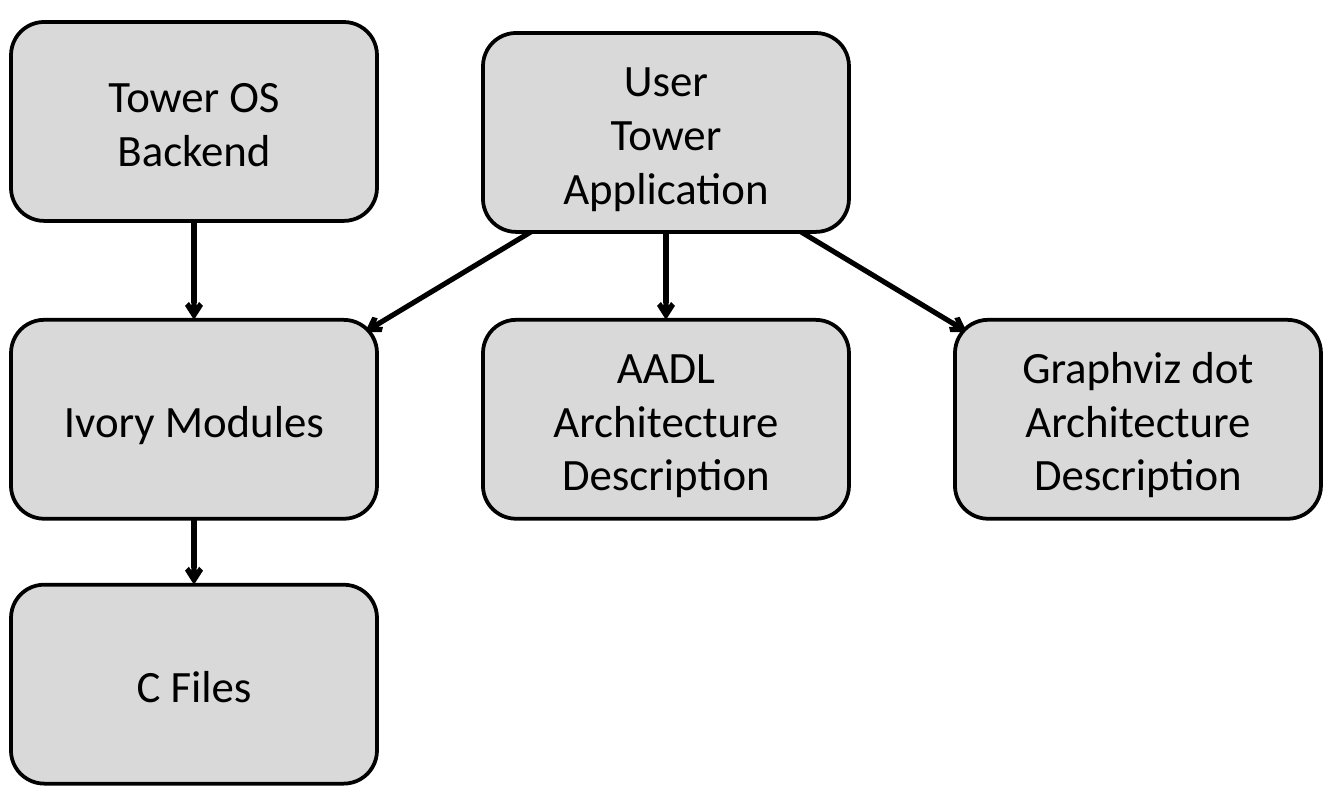
from lxml import etree
from pptx import Presentation
from pptx import util as u
from pptx.dml.color import RGBColor
from pptx.enum import shapes, text
from pptx.oxml import ns

BLACK = RGBColor(0x00, 0x00, 0x00)
GREY = RGBColor(0xD9, 0xD9, 0xD9)
SCALE = u.Inches(1) / 134.4

# Stage: (label, column, top)
STAGES = {
    "backend": ("Tower OS Backend", 0, 22),
    "application": ("User\nTower Application", 1, 33),
    "ivory": ("Ivory Modules", 0, 320),
    "aadl": ("AADL Architecture Description", 1, 320),
    "graphviz": ("Graphviz dot\nArchitecture Description", 2, 320),
    "c_files": ("C Files", 0, 585),
}
FLOWS = [
    ("backend", "ivory"),
    ("application", "ivory"),
    ("application", "aadl"),
    ("application", "graphviz"),
    ("ivory", "c_files"),
]
LEFT, PITCH, WIDTH, HEIGHT = 11, 472, 366, 199
EXIT_INSET, CORNER_INSET = 48, 12
FONT = {"name": "Calibri", "size": u.Pt(24)}


def emu(pixels):
    """Turn pixels into EMU."""
    return u.Emu(round(pixels * SCALE))


def corner(stage):
    """Give the left and top of a stage."""
    _, column, top = STAGES[stage]
    return LEFT + column * PITCH, top


def flow_ends(source, target):
    """Give the ends of an arrow: straight down, or out to a near corner."""
    source_left, source_top = corner(source)
    target_left, target_top = corner(target)
    bottom = source_top + HEIGHT
    if target_left == source_left:
        middle = source_left + WIDTH / 2
        return middle, bottom, middle, target_top
    if target_left < source_left:
        start, end = source_left + EXIT_INSET, target_left + WIDTH - CORNER_INSET
    else:
        start, end = source_left + WIDTH - EXIT_INSET, target_left + CORNER_INSET
    return start, bottom, end, target_top + CORNER_INSET


def add_flow(slide, source, target):
    """Draw an arrow from one stage to the next."""
    ends = map(emu, flow_ends(source, target))
    flow = slide.shapes.add_connector(shapes.MSO_CONNECTOR.STRAIGHT, *ends)
    flow.line.color.rgb = BLACK
    flow.line.width = u.Pt(2.75)
    etree.SubElement(flow.line._get_or_add_ln(), ns.qn("a:tailEnd"), type="arrow")
    etree.SubElement(flow._element.spPr, ns.qn("a:effectLst"))


def add_stage(slide, stage):
    """Draw a rounded box with its centred label."""
    left, top = corner(stage)
    box = slide.shapes.add_shape(
        shapes.MSO_SHAPE.ROUNDED_RECTANGLE, *map(emu, (left, top, WIDTH, HEIGHT)))
    box.shadow.inherit = False
    box.fill.solid()
    box.fill.fore_color.rgb = GREY
    box.line.color.rgb = BLACK
    box.line.width = u.Pt(2)
    frame = box.text_frame
    frame.text = STAGES[stage][0]
    frame.word_wrap = True
    frame.vertical_anchor = text.MSO_ANCHOR.MIDDLE
    for paragraph in frame.paragraphs:
        paragraph.alignment = text.PP_ALIGN.CENTER
        for run in paragraph.runs:
            for attribute, value in FONT.items():
                setattr(run.font, attribute, value)
            run.font.color.rgb = BLACK


def main():
    """Build the diagram and save it."""
    deck = Presentation()
    deck.slide_width, deck.slide_height = u.Inches(10), u.Inches(6)
    slide = deck.slides.add_slide(deck.slide_layouts[6])
    for source, target in FLOWS:
        add_flow(slide, source, target)
    for stage in STAGES:
        add_stage(slide, stage)
    deck.save("out.pptx")


main()
